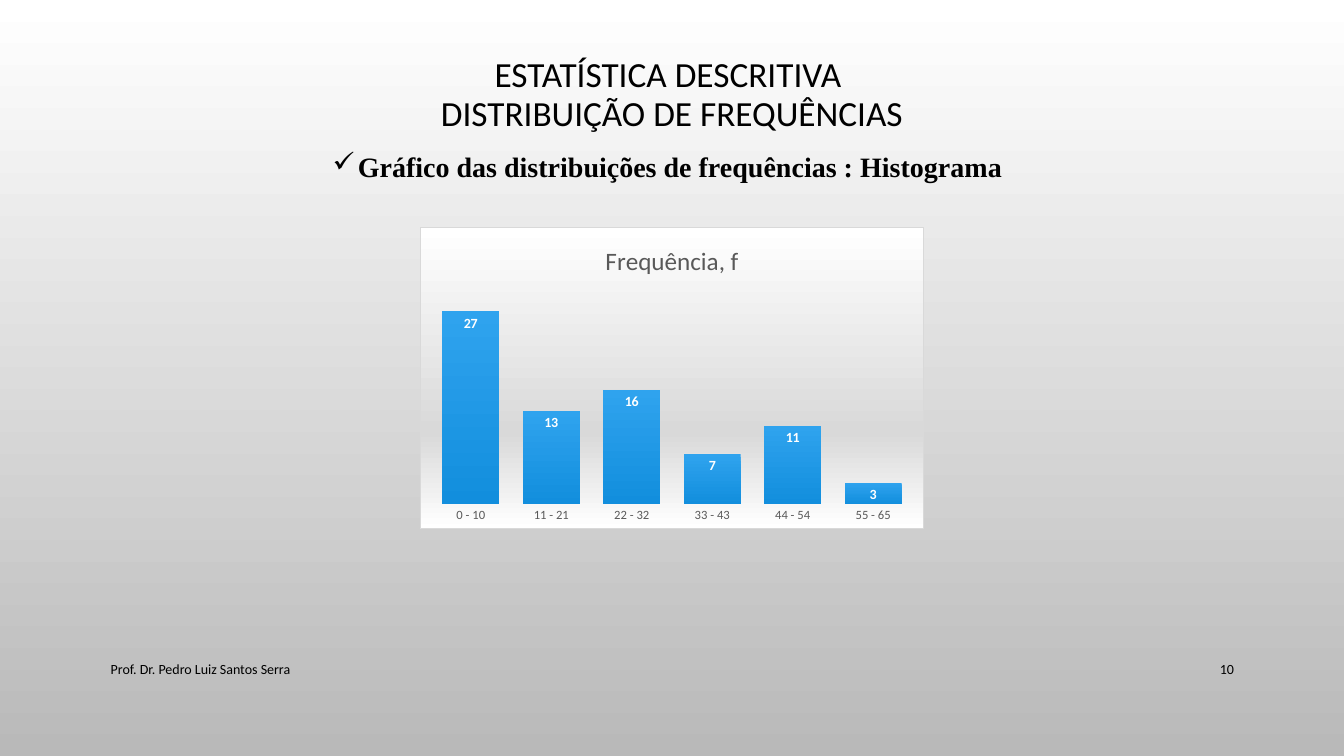
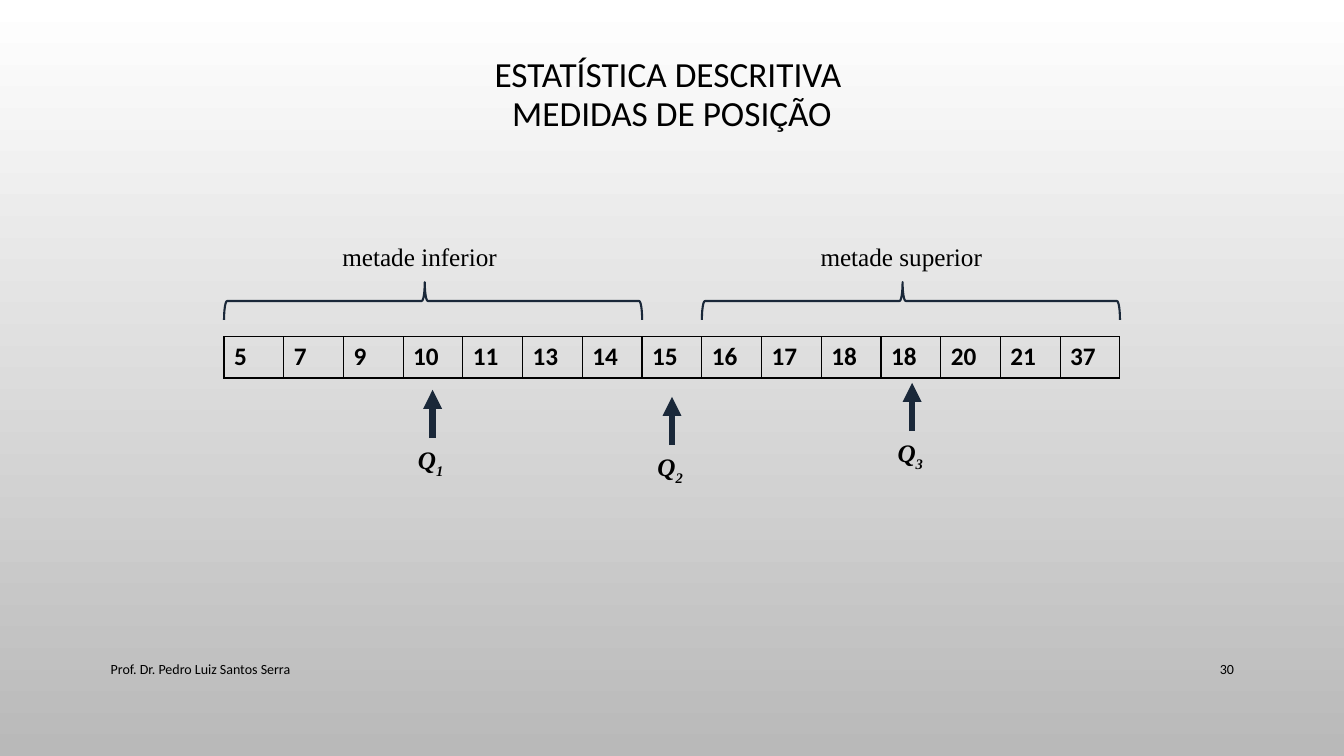
"""Build two statistics slides: a histogram and the quartiles of a data set."""
import pptx
import pptx.chart.data
import pptx.dml.color
import pptx.enum.chart
import pptx.enum.shapes
import pptx.enum.text
import pptx.oxml
import pptx.oxml.ns
import pptx.util

Pt = pptx.util.Pt
RGBColor = pptx.dml.color.RGBColor
ALIGN = pptx.enum.text.PP_ALIGN
MIDDLE = pptx.enum.text.MSO_ANCHOR.MIDDLE
qn = pptx.oxml.ns.qn
SPACES = pptx.oxml.ns.nsdecls("a", "c")

BLACK = RGBColor(0x00, 0x00, 0x00)
WHITE = RGBColor(0xFF, 0xFF, 0xFF)
GRAY = RGBColor(0x59, 0x59, 0x59)
PALE = RGBColor(0xD9, 0xD9, 0xD9)
SILVER = RGBColor(0xB9, 0xB9, 0xB9)
NAVY = RGBColor(0x1A, 0x28, 0x39)
SKY = RGBColor(0x2F, 0xA3, 0xEE)
BLUE = RGBColor(0x12, 0x8E, 0xDD)

TITLE = {"name": "Calibri", "size": Pt(25.2)}
FOOTER = {"name": "Calibri", "size": Pt(10)}
HEADING = {"name": "Times New Roman", "size": Pt(20), "bold": True}
LABEL = {"name": "Times New Roman", "size": Pt(18)}
QUARTILE = {**LABEL, "bold": True, "italic": True}
DATA = {"name": "Calibri", "size": Pt(18), "bold": True}


def shade(properties, *stops):
    """Replace the first child of the properties with a vertical gradient."""
    marks = "".join(
        f'<a:gs pos="{place * 1000}"><a:srgbClr val="{color}"/></a:gs>' for place, color in stops
    )
    gradient = pptx.oxml.parse_xml(
        f'<a:gradFill {SPACES} rotWithShape="1"><a:gsLst>{marks}</a:gsLst>'
        '<a:lin ang="5400000" scaled="0"/></a:gradFill>'
    )
    properties.replace(properties[0], gradient)


def write(page, area, text, font, paragraph={}, frame={}, subscript=""):
    """Add a text box with one paragraph and return the paragraph."""
    box = page.shapes.add_textbox(*map(Pt, area))
    for name, value in {"word_wrap": True, **frame}.items():
        setattr(box.text_frame, name, value)
    para = box.text_frame.paragraphs[0]
    para.text = text
    for name, value in paragraph.items():
        setattr(para, name, value)
    if subscript:
        span = para.add_run()
        span.text = subscript
        span._r.get_or_add_rPr().set("baseline", "-25000")
    for span in para.runs:
        span.font.color.rgb = BLACK
        for name, value in font.items():
            setattr(span.font, name, value)
    return para


deck = pptx.Presentation()
deck.slide_width, deck.slide_height = Pt(960), Pt(540)
master = deck.slide_master
master.background.fill.solid()
shade(master.element.find(".//" + qn("p:bgPr")), (0, WHITE), (100, SILVER))

pages = []
for topic, number in (("DISTRIBUIÇÃO DE FREQUÊNCIAS", "10"), ("MEDIDAS DE POSIÇÃO", "30")):
    page = deck.slides.add_slide(deck.slide_layouts[6])
    centered = {"alignment": ALIGN.CENTER, "line_spacing": 0.9}
    middle = {"vertical_anchor": MIDDLE}
    write(page, (251, 37, 458, 62.5), f"ESTATÍSTICA DESCRITIVA \v{topic}", TITLE, centered, middle)
    write(page, (72, 463, 526, 29), "Prof. Dr. Pedro Luiz Santos Serra", FOOTER, {}, middle)
    write(page, (828, 463, 60.5, 29), number, FOOTER, {"alignment": ALIGN.RIGHT}, middle)
    pages.append(page)
histogram_page, quartile_page = pages

heading = write(
    histogram_page, (230.5, 98.5, 498, 45.5),
    "Gráfico das distribuições de frequências : Histograma", HEADING,
    {"alignment": ALIGN.JUSTIFY, "line_spacing": 1.2, "space_before": Pt(10)},
)
indents = heading._p.get_or_add_pPr()
indents.set("marL", str(Pt(18)))
indents.set("indent", str(-Pt(18)))
for bullet in (f'<a:buClr {SPACES}><a:srgbClr val="{BLACK}"/></a:buClr>',
               f'<a:buChar {SPACES} char="✓"/>'):
    indents.append(pptx.oxml.parse_xml(bullet))

frequencies = pptx.chart.data.CategoryChartData()
frequencies.categories = ["0 - 10", "11 - 21", "22 - 32", "33 - 43", "44 - 54", "55 - 65"]
frequencies.add_series("Frequência, f", (27, 13, 16, 7, 11, 3))
chart = histogram_page.shapes.add_chart(
    pptx.enum.chart.XL_CHART_TYPE.COLUMN_CLUSTERED, *map(Pt, (300, 162, 360, 216)), frequencies
).chart
chart.has_legend = False
chart.has_title = True
chart.chart_title.include_in_layout = False
chart.chart_title.text_frame.text = "Frequência, f"
plot = chart.plots[0]
plot.gap_width = 41
plot.vary_by_categories = False
plot.has_data_labels = True
labels = plot.data_labels
labels.show_value = True
labels.position = pptx.enum.chart.XL_LABEL_POSITION.INSIDE_END
value_axis, category_axis = chart.value_axis, chart.category_axis
value_axis.visible = False
value_axis.has_major_gridlines = False
value_axis.minimum_scale, value_axis.maximum_scale = 0, 30
category_axis.major_tick_mark = pptx.enum.chart.XL_TICK_MARK.NONE
category_axis.format.line.fill.background()
title_span = chart.chart_title.text_frame.paragraphs[0].runs[0]
for font, size, color, bold in (
    (chart.font, 10, BLACK, False),
    (title_span.font, 18, GRAY, False),
    (category_axis.tick_labels.font, 9, GRAY, False),
    (labels.font, 10, WHITE, True),
):
    font.name, font.size, font.bold = "Calibri", Pt(size), bold
    font.color.rgb = color

series = plot.series[0]
series.format.fill.solid()
shade(series._element.find(qn("c:spPr")), (0, SKY), (100, BLUE))
chart_area = pptx.oxml.parse_xml(
    f'<c:spPr {SPACES}><a:noFill/><a:ln w="{Pt(0.75)}"><a:solidFill>'
    f'<a:srgbClr val="{PALE}"/></a:solidFill></a:ln></c:spPr>'
)
shade(chart_area, (0, WHITE), (68, PALE), (100, WHITE))
chart.element.find(qn("c:txPr")).addprevious(chart_area)

values = (5, 7, 9, 10, 11, 13, 14, 15, 16, 17, 18, 18, 20, 21, 37)
table_left, table_width = 160, 640
cell_width = table_width / len(values)
table = quartile_page.shapes.add_table(
    1, len(values), *map(Pt, (table_left, 240.5, table_width, 29.5))
).table
table.first_row = table.horz_banding = False
for column, value in enumerate(values):
    table.columns[column].width = Pt(cell_width)
    cell = table.cell(0, column)
    cell.text = str(value)
    font = cell.text_frame.paragraphs[0].runs[0].font
    font.color.rgb = BLACK
    for name, setting in DATA.items():
        setattr(font, name, setting)
    for side, width in (("L", 1), ("R", 1), ("T", 1), ("B", 2)):
        cell._tc.get_or_add_tcPr().append(pptx.oxml.parse_xml(
            f'<a:ln{side} {SPACES} w="{Pt(width)}"><a:solidFill>'
            f'<a:srgbClr val="{BLACK}"/></a:solidFill></a:ln{side}>'
        ))
    cell.fill.background()

unwrapped = {"word_wrap": False, "auto_size": pptx.enum.text.MSO_AUTO_SIZE.SHAPE_TO_FIT_TEXT}
brace_length, brace_depth, brace_middle = 7 * cell_width, 27, 215
for first_column, label, label_left, label_width in (
    (0, "metade inferior", 237.5, 127.5),
    (8, "metade superior", 579, 131),
):
    center = table_left + first_column * cell_width + brace_length / 2
    brace = quartile_page.shapes.add_shape(
        pptx.enum.shapes.MSO_SHAPE.LEFT_BRACE,
        Pt(center - brace_depth / 2), Pt(brace_middle - brace_length / 2),
        Pt(brace_depth), Pt(brace_length),
    )
    brace.rotation = 90
    brace.adjustments[0], brace.adjustments[1] = 0.08, 0.52
    brace.shadow.inherit = False
    brace.fill.background()
    brace.line.color.rgb = NAVY
    brace.line.width = Pt(1.5)
    write(quartile_page, (label_left, 169, label_width, 29), label, LABEL, frame=unwrapped)

for index, (x, bottom) in enumerate(((309, 313), (480, 318), (651.5, 308)), 1):
    arrow = quartile_page.shapes.add_connector(
        pptx.enum.shapes.MSO_CONNECTOR.STRAIGHT, Pt(x), Pt(bottom), Pt(x), Pt(bottom - 34.5)
    )
    arrow.line.color.rgb = NAVY
    arrow.line.width = Pt(4.5)
    arrow.line._get_or_add_ln().append(
        pptx.oxml.parse_xml(f'<a:tailEnd {SPACES} type="triangle"/>')
    )
    arrow._element.spPr.append(pptx.oxml.parse_xml(f"<a:effectLst {SPACES}/>"))
    write(quartile_page, (x - 17.5, bottom + 1, 34, 29), "Q", QUARTILE,
          frame=unwrapped, subscript=str(index))

deck.save("out.pptx")
